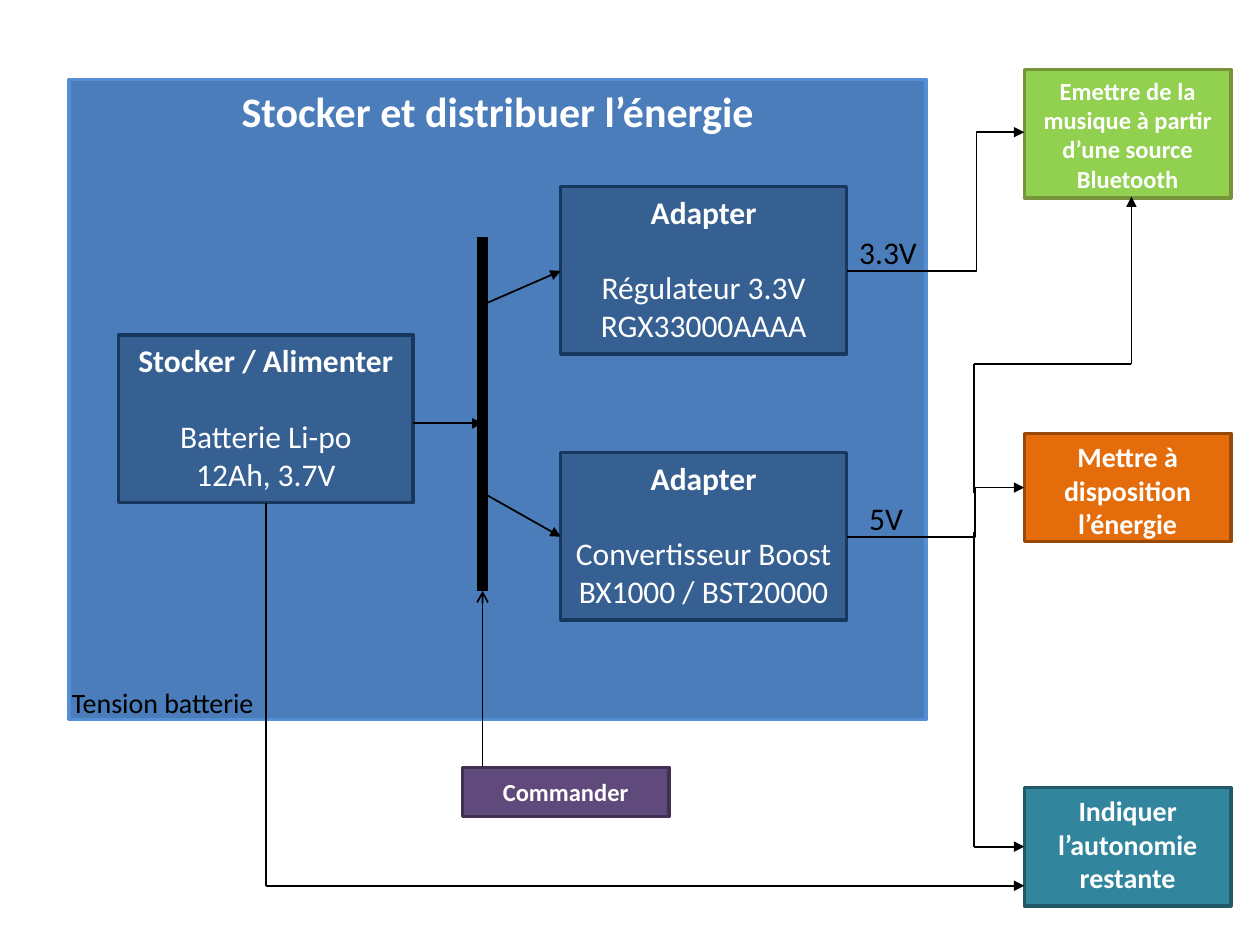
from dataclasses import dataclass
from pptx import Presentation
from pptx.dml.color import RGBColor
from pptx.enum.shapes import MSO_CONNECTOR as Wire, MSO_SHAPE as Form
from pptx.enum.text import MSO_ANCHOR as Anchor, PP_ALIGN as Align
from pptx.oxml import parse_xml
from pptx.oxml.ns import nsdecls, qn
from pptx.util import Inches, Pt


@dataclass(frozen=True)
class Theme:
    font: str = "Calibri"
    white: str = "FFFFFF"
    black: str = "000000"
    panel: tuple = ("4A7DBA", "558ED5")
    block: tuple = ("376092", "17375E")
    green: tuple = ("92D050", "77933C")
    orange: tuple = ("E46C0A", "984807")
    teal: tuple = ("31859C", "215968")
    purple: tuple = ("604A7B", "403152")
    title: int = 24
    body: int = 18
    label: int = 16
    small: int = 14
    edge: int = 2
    thin: int = 1
    bar: int = 6


THEME = Theme()


def write(para, text, size, color, bold=False):
    run = para.add_run()
    run.text = text
    style = {"name": THEME.font, "size": Pt(size), "bold": bold}
    for key, value in style.items():
        setattr(run.font, key, value)
    run.font.color.rgb = RGBColor.from_string(color)


def add_box(slide, box, colors, head, size, lines=(), anchor=Anchor.TOP):
    shape = slide.shapes.add_shape(Form.RECTANGLE, *map(Inches, box))
    shape.shadow.inherit = False
    fill, edge = map(RGBColor.from_string, colors)
    shape.fill.solid()
    shape.fill.fore_color.rgb = fill
    shape.line.color.rgb = edge
    shape.line.width = Pt(THEME.edge)
    frame = shape.text_frame
    frame.word_wrap = True
    frame.vertical_anchor = anchor
    para = frame.paragraphs[0]
    para.alignment = Align.CENTER
    write(para, head, size, THEME.white, True)
    if lines:
        para.space_after = Pt(size * 1.2)
    for line in lines:
        para = frame.add_paragraph()
        para.alignment = Align.CENTER
        write(para, line, size, THEME.white)


def add_label(slide, box, text, size):
    frame = slide.shapes.add_textbox(*map(Inches, box)).text_frame
    frame.word_wrap = True
    write(frame.paragraphs[0], text, size, THEME.black)


def add_wire(slide, start, end, tip=None, width=THEME.thin, bend=None):
    kind = Wire.ELBOW if bend else Wire.STRAIGHT
    wire = slide.shapes.add_connector(kind, *map(Inches, (*start, *end)))
    wire.line.color.rgb = RGBColor.from_string(THEME.black)
    wire.line.width = Pt(width)
    props = wire._element.spPr
    if tip:
        props.find(qn("a:ln")).append(
            parse_xml(f'<a:tailEnd {nsdecls("a")} type="{tip}"/>'))
    props.append(parse_xml(f'<a:effectLst {nsdecls("a")}/>'))
    if bend:
        ratio = round((bend - start[0]) / (end[0] - start[0]) * 100000)
        guide = f'<a:gd {nsdecls("a")} name="adj1" fmla="val {ratio}"/>'
        props.find(qn("a:prstGeom")).get_or_add_avLst().append(parse_xml(guide))


def draw_store(slide, box):
    left, top, width, height = box
    add_box(slide, box, THEME.panel, "Stocker et distribuer l’énergie", THEME.title)
    blocks = [
        (0.39, 2.03, 2.34, "Stocker / Alimenter", ("Batterie Li-po", "12Ah, 3.7V")),
        (3.9, 2.96, 2.27, "Adapter", ("Convertisseur Boost", "BX1000 / BST20000")),
        (3.9, 0.85, 2.27, "Adapter", ("Régulateur 3.3V", "RGX33000AAAA")),
    ]
    for x, y, wide, head, lines in blocks:
        add_box(slide, (left + x, top + y, wide, 1.33), THEME.block,
                head, THEME.body, lines)
    bar = left + 3.28
    add_wire(slide, (bar, top + 1.25), (bar, top + 4.06), width=THEME.bar)
    for start, end in [((2.73, 2.73), (3.28, 2.73)),
                       ((3.28, 1.79), (3.9, 1.52)),
                       ((3.28, 3.28), (3.9, 3.63))]:
        add_wire(slide, (left + start[0], top + start[1]),
                 (left + end[0], top + end[1]), "triangle")


def draw_users(slide, box):
    left, top, width, height = box
    users = [
        (0, 1.02, THEME.green, THEME.small,
         "Emettre de la musique à partir d’une source Bluetooth"),
        (2.89, 0.86, THEME.orange, THEME.label, "Mettre à disposition l’énergie"),
        (5.7, 0.94, THEME.teal, THEME.label, "Indiquer l’autonomie restante"),
    ]
    for y, tall, colors, size, text in users:
        add_box(slide, (left, top + y, width, tall), colors, text, size)


def draw_control(slide, box):
    left, top, width, height = box
    add_box(slide, box, THEME.purple, "Commander", THEME.small, anchor=Anchor.MIDDLE)
    add_wire(slide, (left + 0.16, top), (left + 0.16, top - 1.4), "arrow")


def draw_supply(slide, box):
    left, top, width, height = box
    right, bus = left + width, left + 1.01
    add_wire(slide, (left, top + 1.1), (right, top), "triangle", bend=left + 1.03)
    add_wire(slide, (left, top + 3.21), (right, top + 2.82), "triangle",
             bend=left + 1.02)
    low, high, rise = top + height, top + 1.84, left + 2.26
    for start, end, tip in [
        ((bus, top + 3.17), (bus, low), None),
        ((bus, low), (right, low), "triangle"),
        ((rise, high), (rise, top + 0.51), "triangle"),
        ((rise, high), (bus, high), None),
        ((bus, top + 2.86), (bus, high), None),
    ]:
        add_wire(slide, start, end, tip)
    add_label(slide, (left, top + 0.75, 0.78, 0.4), "3.3V", THEME.body)
    add_label(slide, (left + 0.08, top + 2.86, 0.55, 0.4), "5V", THEME.body)


def draw_sense(slide, box):
    left, top, width, height = box
    corner = (left, top + height)
    add_wire(slide, (left, top), corner)
    add_wire(slide, corner, (left + width, top + height), "triangle")
    add_label(slide, (left - 1.64, top + 1.4, 1.95, 0.37),
              "Tension batterie", THEME.label)


def main():
    deck = Presentation()
    deck.slide_width, deck.slide_height = Inches(10), Inches(7.5)
    slide = deck.slides.add_slide(deck.slide_layouts[6])
    draw_store(slide, (0.55, 0.63, 6.8, 5.08))
    draw_users(slide, (8.13, 0.55, 1.64, 6.64))
    draw_supply(slide, (6.72, 1.05, 1.41, 5.67))
    draw_control(slide, (3.67, 6.09, 1.64, 0.39))
    draw_sense(slide, (2.11, 3.99, 6.02, 3.04))
    deck.save("out.pptx")


if __name__ == "__main__":
    main()
